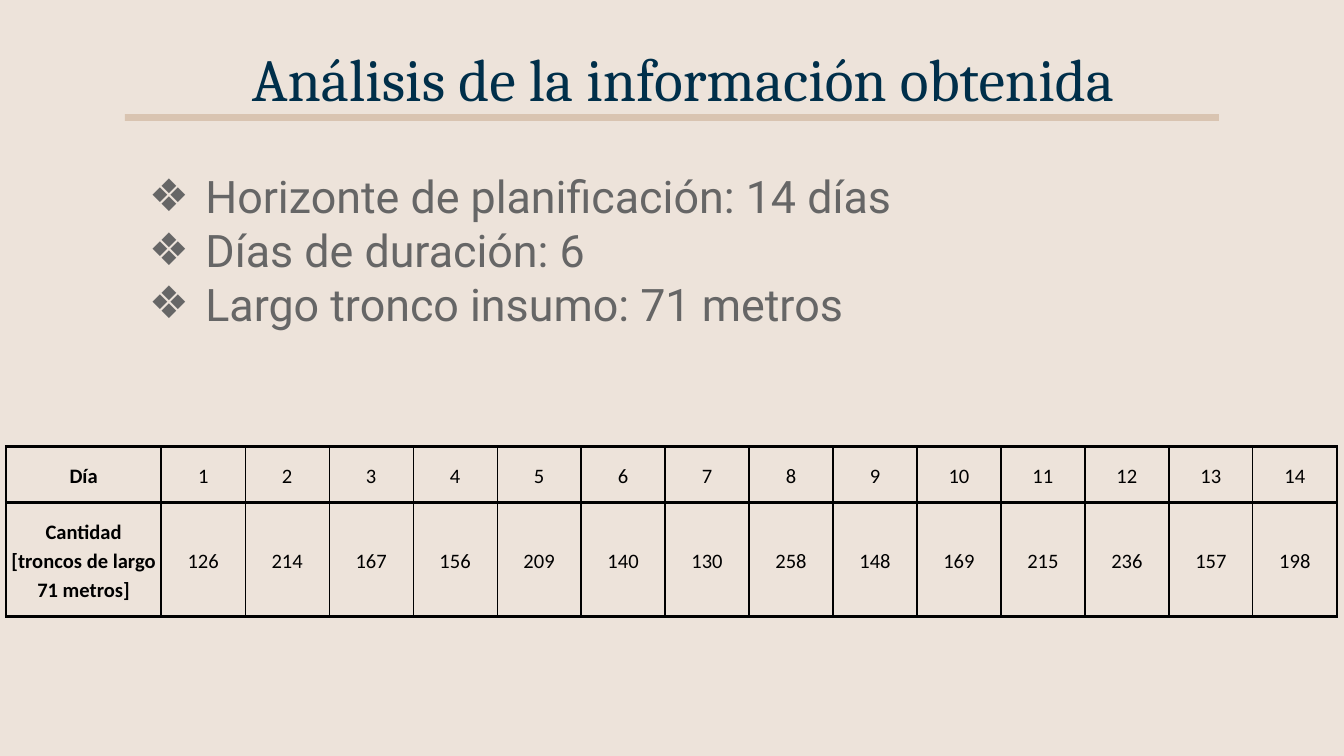
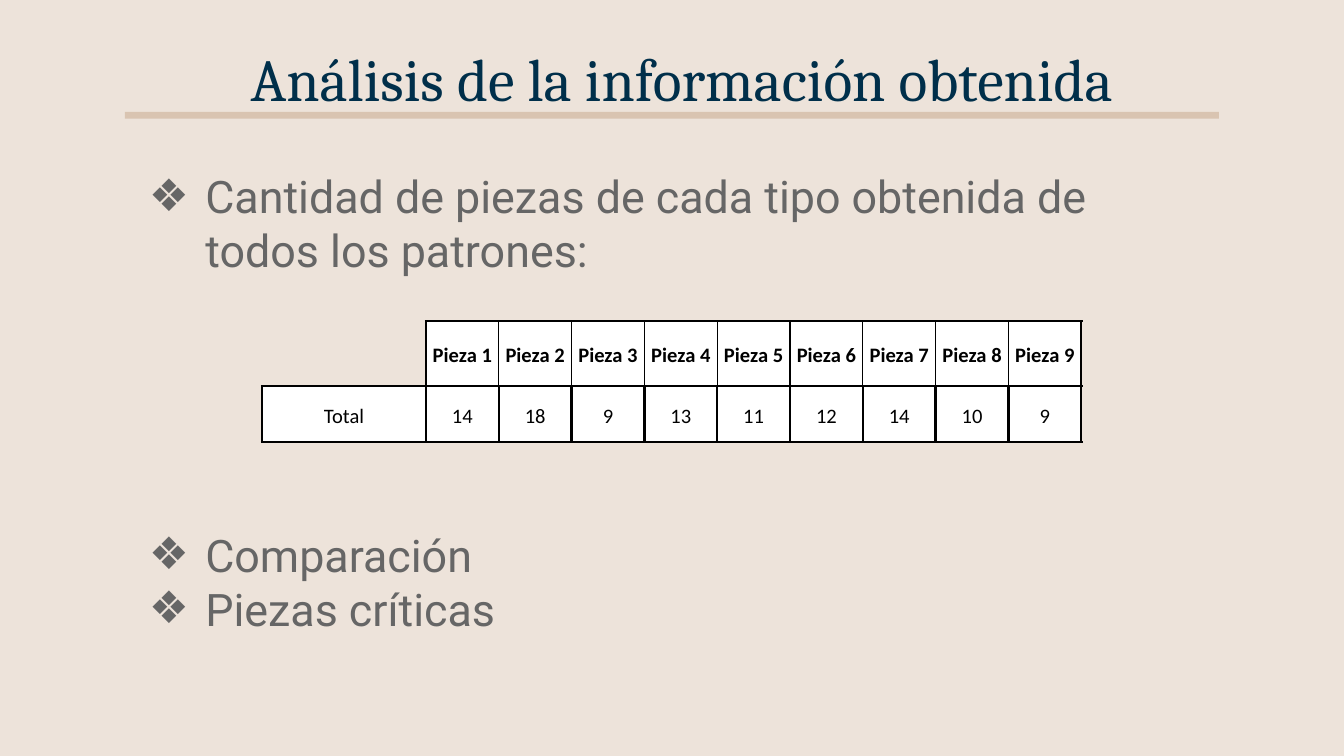
from dataclasses import dataclass

from lxml.etree import SubElement
from pptx import Presentation
from pptx.dml.color import RGBColor
from pptx.enum.shapes import MSO_SHAPE
from pptx.enum.text import MSO_ANCHOR, PP_ALIGN
from pptx.oxml.ns import qn
from pptx.util import Inches, Pt


@dataclass(frozen=True)
class Theme:
    background: str = "EDE3DA"
    band: str = "D9C4B1"
    black: str = "000000"
    white: str = "FFFFFF"
    title: tuple = ("Cambria", 32, "002F4A")
    body: tuple = ("Roboto", 24, "666666")
    table: tuple = ("Calibri", 11, "000000")
    bullet: str = "❖"
    thick: float = 1.5
    thin: float = 0.75


THEME = Theme()
WIDTH = Inches(10)
HEIGHT = WIDTH * 9 // 16
COL, ROW = WIDTH / 100, HEIGHT / 100  # a grid of 100 columns by 100 rows
MARGIN, CONTENT = 9.3, 81.4
TITLE_HEIGHT = TEXT_TOP = 20.6
TEXT_HEIGHT = 27.4
TITLE = "Análisis de la información obtenida"

SLIDES = [
    {
        "title_left": 3.95,
        "title_width": 93.8,
        "band_top": 15.1,
        "lists": [(TEXT_TOP, ["Horizonte de planificación: 14 días",
                              "Días de duración: 6",
                              "Largo tronco insumo: 71 metros"])],
        "rows": [["Día", *range(1, 15)],
                 ["Cantidad [troncos de largo 71 metros]", 126, 214, 167, 156, 209, 140,
                  130, 258, 148, 169, 215, 236, 157, 198]],
        "table_at": (0.45, 59.05),
        "label_width": 11.55,
        "value_width": 6.25,
        "row_heights": (7.4, 15.1),
        "cell_fill": None,
        "bold": lambda row, column: column == 0,
        "thin_rows": (0, 1),
    },
    {
        "title_left": 4.55,
        "title_width": 92.4,
        "band_top": 14.8,
        "lists": [(TEXT_TOP, ["Cantidad de piezas de cada tipo obtenida de todos los patrones:"]),
                  (68, ["Comparación", "Piezas críticas"])],
        "rows": [["", *(f"Pieza {number}" for number in range(1, 10))],
                 ["Total", 14, 18, 9, 13, 11, 12, 14, 10, 9]],
        "table_at": (19.5, 42.5),
        "label_width": 12.2,
        "value_width": 5.42,
        "row_heights": (8.6, 7.4),
        "cell_fill": THEME.white,
        "bold": lambda row, column: row == 0,
        "thin_rows": (0,),
    },
]


def write(paragraph, text, style, bold=False):
    run = paragraph.add_run()
    run.text = str(text)
    family, size, color = style
    for attribute, value in {"name": family, "size": Pt(size), "bold": bold}.items():
        setattr(run.font, attribute, value)
    run.font.color.rgb = RGBColor.from_string(color)


def on_grid(left, top, width, height):
    return round(left * COL), round(top * ROW), round(width * COL), round(height * ROW)


deck = Presentation()
deck.slide_width, deck.slide_height = WIDTH, HEIGHT

for content in SLIDES:
    slide = deck.slides.add_slide(deck.slide_layouts[6])
    slide.background.fill.solid()
    slide.background.fill.fore_color.rgb = RGBColor.from_string(THEME.background)

    # Title and bulleted lists
    title_place = on_grid(content["title_left"], 0, content["title_width"], TITLE_HEIGHT)
    texts = [(title_place, [TITLE], True)]
    for top, items in content["lists"]:
        texts.append((on_grid(MARGIN, top, CONTENT, TEXT_HEIGHT), items, False))
    for place, lines, is_title in texts:
        frame = slide.shapes.add_textbox(*place).text_frame
        frame.word_wrap = True
        frame.vertical_anchor = MSO_ANCHOR.MIDDLE if is_title else MSO_ANCHOR.TOP
        for side in ("left", "top", "right", "bottom"):
            setattr(frame, f"margin_{side}", Inches(0.1))
        for index, line in enumerate(lines):
            paragraph = frame.add_paragraph() if index else frame.paragraphs[0]
            write(paragraph, line, THEME.title if is_title else THEME.body)
            if is_title:
                paragraph.alignment = PP_ALIGN.CENTER
                continue
            family, size, color = THEME.body
            properties = paragraph._p.get_or_add_pPr()
            properties.set("marL", str(Inches(0.5)))
            properties.set("indent", str(Inches(-0.42)))
            SubElement(SubElement(properties, qn("a:buClr")), qn("a:srgbClr"), val=color)
            SubElement(properties, qn("a:buSzPts"), val=str(size * 100))
            SubElement(properties, qn("a:buFont"), typeface=family)
            SubElement(properties, qn("a:buChar"), char=THEME.bullet)

    band = slide.shapes.add_shape(MSO_SHAPE.RECTANGLE,
                                  *on_grid(MARGIN, content["band_top"], CONTENT, 0.9))
    band.shadow.inherit = False
    band.fill.solid()
    band.fill.fore_color.rgb = RGBColor.from_string(THEME.band)
    band.line.fill.background()

    # Table: a label column followed by equal value columns
    rows = content["rows"]
    last = len(rows[0]) - 1
    widths = [content["label_width"]] + [content["value_width"]] * last
    place = on_grid(*content["table_at"], sum(widths), sum(content["row_heights"]))
    table = slide.shapes.add_table(len(rows), len(widths), *place).table
    table.first_row = table.horz_banding = False
    for column, width in enumerate(widths):
        table.columns[column].width = round(width * COL)
    for row, values in enumerate(rows):
        table.rows[row].height = round(content["row_heights"][row] * ROW)
        for column, value in enumerate(values):
            cell = table.cell(row, column)
            is_empty = value == ""
            inner_thin = row in content["thin_rows"] and column > 0
            edges = {
                "L": THEME.thin if inner_thin and column > 1 else THEME.thick,
                "R": THEME.thin if inner_thin and column < last else THEME.thick,
                "T": THEME.thick,
                "B": THEME.thick,
            }
            if is_empty:
                edges["L"] = edges["T"] = 0
            cell_properties = cell._tc.get_or_add_tcPr()
            for side, points in edges.items():
                edge = SubElement(cell_properties, qn(f"a:ln{side}"), w=str(Pt(points)))
                if points:
                    edge_fill = SubElement(edge, qn("a:solidFill"))
                    SubElement(edge_fill, qn("a:srgbClr"), val=THEME.black)
                else:
                    SubElement(edge, qn("a:noFill"))
            if is_empty or not content["cell_fill"]:
                cell.fill.background()
            else:
                cell.fill.solid()
                cell.fill.fore_color.rgb = RGBColor.from_string(content["cell_fill"])
            if is_empty:
                continue
            cell_format = {
                "vertical_anchor": MSO_ANCHOR.MIDDLE,
                "margin_left": Inches(0.03), "margin_right": Inches(0.03),
                "margin_top": Inches(0.1), "margin_bottom": Inches(0.1),
            }
            for attribute, setting in cell_format.items():
                setattr(cell, attribute, setting)
            paragraph = cell.text_frame.paragraphs[0]
            paragraph.alignment = PP_ALIGN.CENTER
            paragraph.line_spacing = 1.15
            write(paragraph, value, THEME.table, content["bold"](row, column))

deck.save("out.pptx")
